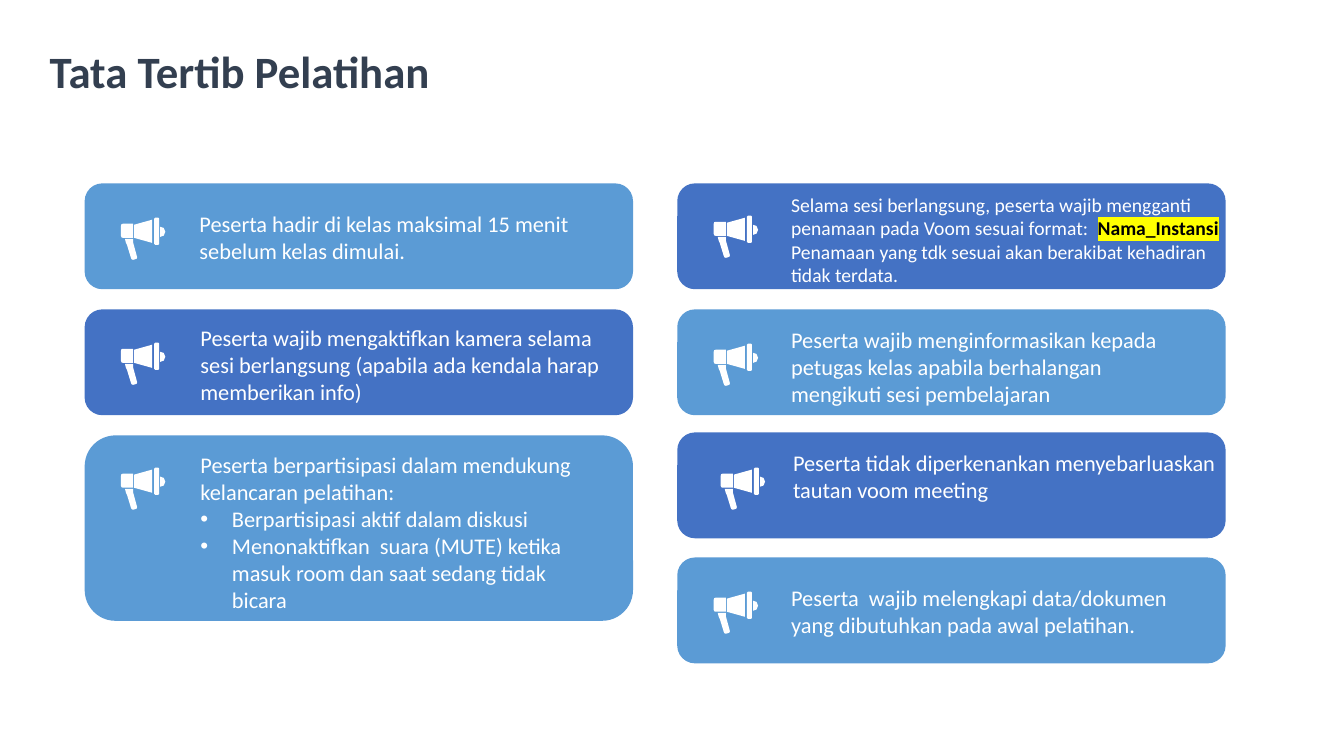
from pptx import Presentation
from pptx.dml.color import RGBColor as Rgb
from pptx.enum.shapes import MSO_SHAPE as Shape
from pptx.oxml import parse_xml as to_xml
from pptx.oxml.ns import nsdecls
from pptx.util import Pt

theme = {
    "font": "Calibri", "title": 32, "body": 16, "small": 14,
    "dark": "333F50", "white": "FFFFFF", "black": "000000",
    "light": "5B9BD5", "deep": "4472C4", "mark": "FFFF00",
}

deck = Presentation()
deck.slide_width, deck.slide_height = Pt(960), Pt(540)
slide = deck.slides.add_slide(deck.slide_layouts[6])
shapes = slide.shapes


def add_box(left, top, width, height, pads):
    frame = shapes.add_textbox(Pt(left), Pt(top), Pt(width), Pt(height)).text_frame
    frame.word_wrap = True
    for side, pad in zip(("left", "top", "right", "bottom"), pads):
        setattr(frame, f"margin_{side}", Pt(pad))
    return frame


def add_run(para, text, size, color="white", bold=False):
    run = para.add_run()
    run.text = text
    style = {"size": Pt(theme[size]), "bold": bold, "name": theme["font"]}
    for key, value in style.items():
        setattr(run.font, key, value)
    run.font.color.rgb = Rgb.from_string(theme[color])
    return run


title = add_box(29.5, 31, 407.5, 39, (6, 0, 3, 0))
add_run(title.paragraphs[0], "Tata Tertib Pelatihan", "title", "dark", True)

horn = [
    [(120, 210), (120, 230), (122, 250), (160, 390), (158, 405), (140, 413),
     (120, 418), (106, 413), (100, 400), (60, 270), (50, 250), (40, 210)],
    [(390, 90), (425, 102), (440, 140), (425, 178), (390, 190)],
    [(20, 60), (120, 60), (120, 200), (20, 200), (5, 195), (0, 180), (0, 80), (5, 65)],
    [(310, 20), (310, 250), (130, 200), (130, 70)],
    [(340, 0), (370, 0), (380, 10), (380, 260), (370, 270), (340, 270),
     (330, 260), (330, 10)],
]

lefts = (60.5, 483.8)
wide, tall = 391.7, 75.6
rules = [
    (0, 131, tall, "light", (86.4, 155.5), (135.4, 146.9, 301.7), "body",
     ["Peserta hadir di kelas maksimal 15 menit sebelum kelas dimulai."]),
    (0, 221, tall, "deep", (86.4, 244.8), (136.1, 228.2, 301.7), "body",
     ["Peserta wajib mengaktifkan kamera selama sesi berlangsung "
      "(apabila ada kendala harap memberikan info)"]),
    (0, 311, 132.5, "light", (86.4, 334), (136.1, 319, 301.7), "body",
     ["Peserta berpartisipasi dalam mendukung kelancaran pelatihan:",
      "• Berpartisipasi aktif dalam diskusi",
      "• Menonaktifkan  suara (MUTE) ketika masuk room dan saat sedang tidak bicara"]),
    (1, 131, tall, "deep", (509.8, 154.1), (558, 133.9, 340.6), "small",
     ["Selama sesi berlangsung, peserta wajib mengganti penamaan pada "
      "Voom sesuai format:  |Nama_Instansi",
      "Penamaan yang tdk sesuai akan berakibat kehadiran ",
      "tidak terdata. "]),
    (1, 221, tall, "light", (509.8, 245.5), (558, 229.7, 301.7), "body",
     ["Peserta wajib menginformasikan kepada petugas kelas apabila "
      "berhalangan mengikuti sesi pembelajaran"]),
    (1, 308.9, tall, "deep", (514.8, 334), (559.4, 317.5, 316), "body",
     ["Peserta tidak diperkenankan menyebarluaskan tautan voom meeting"]),
    (1, 398.2, tall, "light", (509.8, 422.6), (558, 414, 301.7), "body",
     ["Peserta  wajib melengkapi data/dokumen  yang dibutuhkan pada awal pelatihan."]),
]

for side, top, high, color, icon, (left, text_top, width), size, lines in rules:
    card = shapes.add_shape(Shape.ROUNDED_RECTANGLE, Pt(lefts[side]), Pt(top), Pt(wide), Pt(high))
    pen = shapes.build_freeform(*horn[0][0], scale=Pt(0.072))
    pen.add_line_segments(horn[0][1:], close=True)
    for start, *rest in horn[1:]:
        pen.move_to(*start)
        pen.add_line_segments(rest, close=True)
    sign = pen.convert_to_shape(Pt(icon[0]), Pt(icon[1]))
    for shape, fill in ((card, color), (sign, "white")):
        shape.shadow.inherit = False
        shape.fill.solid()
        shape.fill.fore_color.rgb = Rgb.from_string(theme[fill])
        shape.line.fill.background()

    frame = add_box(left, text_top, width, high - text_top + top, (7.2, 3.6, 7.2, 3.6))
    for row, line in enumerate(lines):
        para = frame.add_paragraph() if row else frame.paragraphs[0]
        if line.startswith("• "):
            line = line[2:]
            props = para._p.get_or_add_pPr()
            props.set("marL", str(Pt(22.5)))
            props.set("indent", str(-Pt(22.5)))
            for tag in ('buFont typeface="Arial"', 'buChar char="•"'):
                props.append(to_xml(f"<a:{tag} {nsdecls('a')}/>"))
        plain, _, name = line.partition("|")
        add_run(para, plain, size)
        if name:
            run = add_run(para, name, size, "black", True)
            mark = to_xml(f'<a:highlight {nsdecls("a")}><a:srgbClr val="{theme["mark"]}"/></a:highlight>')
            run.font._element.solidFill.addnext(mark)

deck.save("out.pptx")
